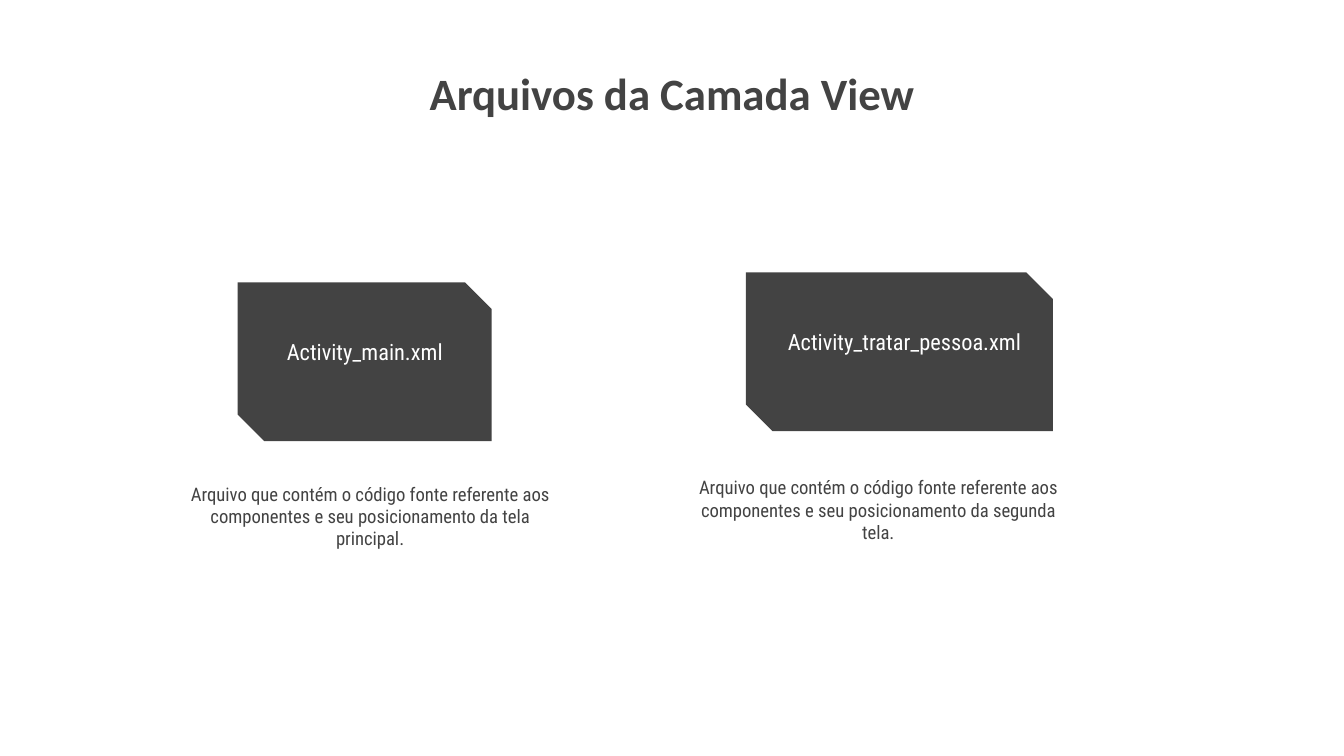
from pptx import Presentation
from pptx.dml.color import RGBColor as RGB
from pptx.enum.shapes import MSO_SHAPE as SHAPE
from pptx.enum.text import MSO_ANCHOR as ANCHOR, PP_ALIGN as ALIGN
from pptx.util import Pt

COLORS = {"dark": "434343", "white": "FFFFFF"}
TITLE_FONT = "Calibri"
BODY_FONT = "Roboto Condensed"


class Deck:
    def __init__(self, prs):
        self.s = prs.slides.add_slide(prs.slide_layouts[6])
        self.inset = Pt(7.2)

    def color(self, name):
        return RGB.from_string(COLORS[name])

    def text(self, text, box, size=10, font=BODY_FONT, color="dark", bold=False):
        sp = self.s.shapes.add_textbox(*map(Pt, box))
        tf = sp.text_frame
        tf.word_wrap = True
        tf.vertical_anchor = ANCHOR.TOP
        tf.margin_left = tf.margin_right = self.inset
        tf.margin_top = tf.margin_bottom = self.inset
        p = tf.paragraphs[0]
        p.alignment = ALIGN.CENTER
        r = p.add_run()
        r.text = text
        r.font.name = font
        r.font.size = Pt(size)
        r.font.bold = bold
        r.font.color.rgb = self.color(color)

    def snipped_box(self, box, color="dark"):
        sp = self.s.shapes.add_shape(SHAPE.SNIP_2_DIAG_RECTANGLE, *map(Pt, box))
        sp.adjustments[0] = 0
        sp.adjustments[1] = 0.167
        sp.shadow.inherit = False
        sp.fill.solid()
        sp.fill.fore_color.rgb = self.color(color)
        sp.line.fill.background()

    def file_card(self, name, description, left, box_top, box_width,
                  label_top, label_width, text_top):
        self.text(description, (left, text_top, 221, 47.5))
        self.snipped_box((left + 39.6, box_top, box_width, 85))
        self.text(name, (left + 45.4, label_top, label_width, 41.8),
                  size=12, color="white")


def main():
    prs = Presentation()
    prs.slide_width, prs.slide_height = Pt(720), Pt(405)
    deck = Deck(prs)
    deck.text("Arquivos da Camada View", (154.8, 28.1, 410.4, 74.2),
              size=24, font=TITLE_FONT, bold=True)
    intro = "Arquivo que contém o código fonte referente aos componentes e seu posicionamento da "
    deck.file_card("Activity_main.xml", intro + "tela principal.",
                   left=87.8, box_top=151.3, box_width=136,
                   label_top=174.2, label_width=124.6, text_top=251.3)
    deck.file_card("Activity_tratar_pessoa.xml", intro + "segunda tela.",
                   left=360, box_top=145.9, box_width=164.4,
                   label_top=168.7, label_width=158.4, text_top=247.9)
    prs.save("out.pptx")


if __name__ == "__main__":
    main()
